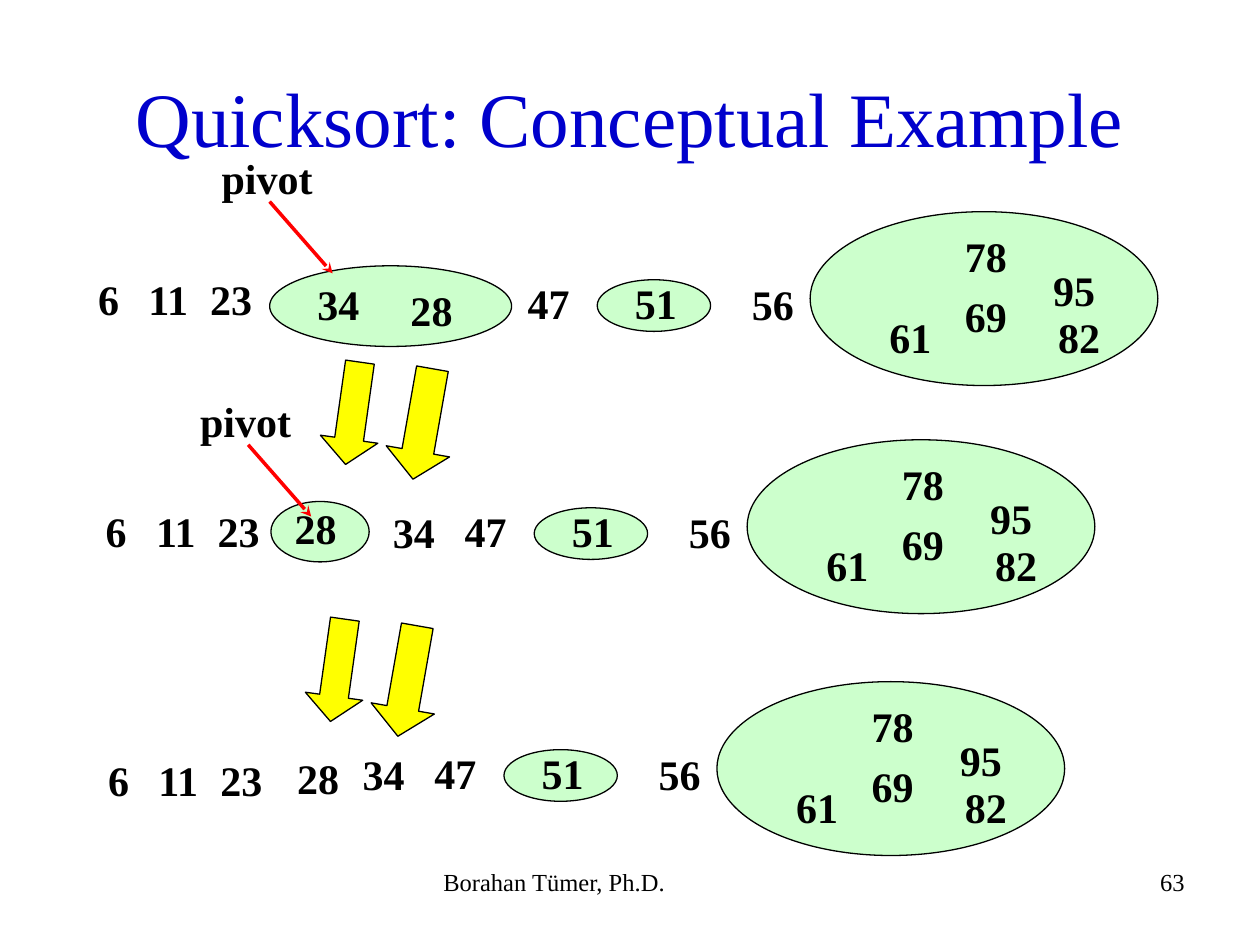
from lxml import etree
from pptx import Presentation
from pptx.dml.color import RGBColor
from pptx.enum import shapes, text
from pptx.oxml.ns import qn
from pptx.util import Inches, Pt

FONT = "Times New Roman"
COLORS = {"title": "0000CC", "text": "000000", "set": "CCFFCC",
          "step": "FFFF00", "pivot": "FF0000"}

# Offsets from the corner of the large right-hand ellipse
RIGHT_NUMBERS = [("82", 1.87, 0.74), ("78", 1.13, 0.1), ("95", 1.83, 0.37),
                 ("69", 1.13, 0.58), ("61", 0.53, 0.74), ("56", -0.56, 0.48),
                 ("51", -1.49, 0.47), ("47", -2.34, 0.47)]
# Offsets from the number 6
SORTED_NUMBERS = [("6", 0), ("11", 0.4), ("23", 0.89)]

# Each row: right part, sorted part, ellipse being split, its numbers
ROWS = [
    ((6.43, 1.68), (0.68, 2.12), (2.14, 2.11, 1.92, 0.64),
     [("34", 2.42, 2.16), ("28", 3.16, 2.21)]),
    ((5.93, 3.49), (0.74, 3.96), (2.15, 3.98, 0.78, 0.48),
     [("34", 3.02, 3.97), ("28", 2.24, 3.94)]),
    ((5.69, 5.41), (0.76, 5.94), None,
     [("34", 2.78, 5.89), ("28", 2.26, 5.92)]),
]
PIVOTS = [(1.66, 1.16), (1.49, 3.09)]
STEPS = [(2.57, 2.87), (2.45, 4.91)]


def rgb(name):
    return RGBColor.from_string(COLORS[name])


def add_text(s, words, x, y, w, h, size, color="text", bold=False,
             align=text.PP_ALIGN.LEFT, anchor=text.MSO_ANCHOR.TOP, wrap=True):
    tf = s.shapes.add_textbox(Inches(x), Inches(y), Inches(w), Inches(h)).text_frame
    tf.word_wrap = wrap
    tf.vertical_anchor = anchor
    p = tf.paragraphs[0]
    p.text = words
    p.alignment = align
    p.font.name = FONT
    p.font.size = Pt(size)
    p.font.bold = bold
    p.font.color.rgb = rgb(color)


def add_label(s, words, x, y):
    """Bold label whose box is as wide as its text."""
    width = {"6": 0.36, "pivot": 0.92}.get(words, 0.53)
    add_text(s, words, x, y, width, 0.5, 24, bold=True, wrap=False)


def add_filled(s, kind, x, y, w, h, fill):
    sp = s.shapes.add_shape(kind, Inches(x), Inches(y), Inches(w), Inches(h))
    sp.shadow.inherit = False
    sp.fill.solid()
    sp.fill.fore_color.rgb = rgb(fill)
    sp.line.color.rgb = rgb("text")
    sp.line.width = Pt(0.75)
    return sp


def add_ellipse(s, x, y, w, h):
    add_filled(s, shapes.MSO_SHAPE.OVAL, x, y, w, h, "set")


def add_step_arrow(s, x, y, w, h, angle):
    sp = add_filled(s, shapes.MSO_SHAPE.DOWN_ARROW, x, y, w, h, "step")
    sp.adjustments[0] = 0.5
    sp.adjustments[1] = 0.44
    sp.rotation = angle


def add_pivot(s, x, y):
    """Pivot label with a red arrow down to the chosen number."""
    line = s.shapes.add_connector(
        shapes.MSO_CONNECTOR.STRAIGHT, Inches(x + 0.48), Inches(y + 0.44),
        Inches(x + 0.98), Inches(y + 1.01))
    line.line.color.rgb = rgb("pivot")
    line.line.width = Pt(2)
    etree.SubElement(line.line._get_or_add_ln(), qn("a:tailEnd"), type="stealth")
    etree.SubElement(line._element.spPr, qn("a:effectLst"))
    add_label(s, "pivot", x, y)


def add_row(s, right, left, split, numbers):
    x, y = right
    add_ellipse(s, x, y, 2.76, 1.38)
    add_ellipse(s, x - 1.69, y + 0.54, 0.9, 0.41)
    if split:
        add_ellipse(s, *split)
    for words, dx, dy in RIGHT_NUMBERS:
        add_label(s, words, x + dx, y + dy)
    for words, dx in SORTED_NUMBERS:
        add_label(s, words, left[0] + dx, left[1])
    for number in numbers:
        add_label(s, *number)


def main():
    prs = Presentation()
    prs.slide_width, prs.slide_height = Inches(10), Inches(7.5)
    s = prs.slides.add_slide(prs.slide_layouts[6])
    add_text(s, "Quicksort: Conceptual Example", 0.5, 0.3, 9, 1.25, 44, "title",
             align=text.PP_ALIGN.CENTER, anchor=text.MSO_ANCHOR.MIDDLE)
    for row in ROWS:
        add_row(s, *row)
    for x, y in STEPS:
        add_step_arrow(s, x, y, 0.46, 0.82, 8)
        add_step_arrow(s, x + 0.53, y + 0.05, 0.51, 0.89, 10)
    for pivot in PIVOTS:
        add_pivot(s, *pivot)
    add_text(s, "Borahan Tümer, Ph.D.", 3.42, 6.83, 3.17, 0.52, 14)
    add_text(s, "63", 7.17, 6.83, 2.33, 0.52, 14, align=text.PP_ALIGN.RIGHT)
    prs.save("out.pptx")


if __name__ == "__main__":
    main()
